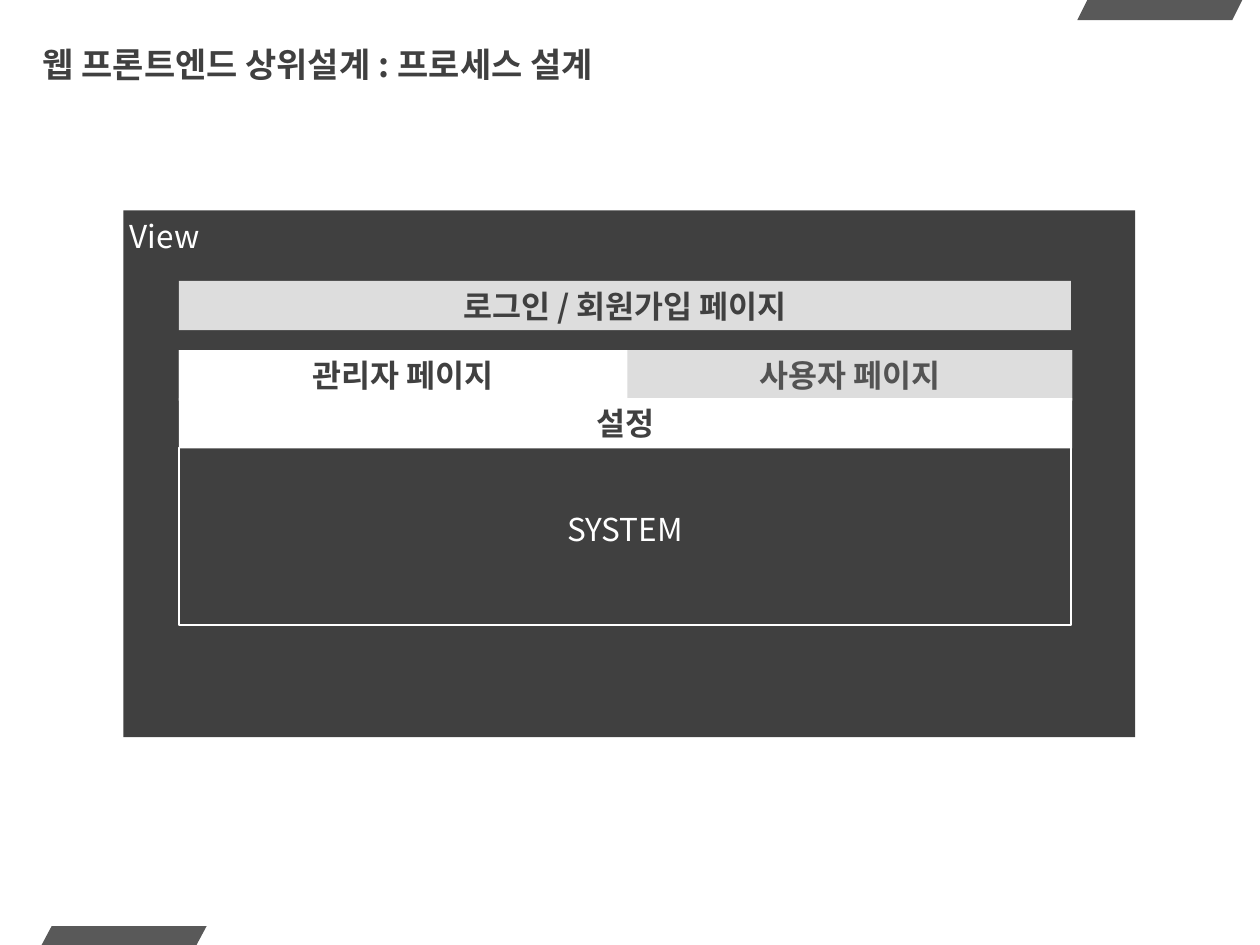
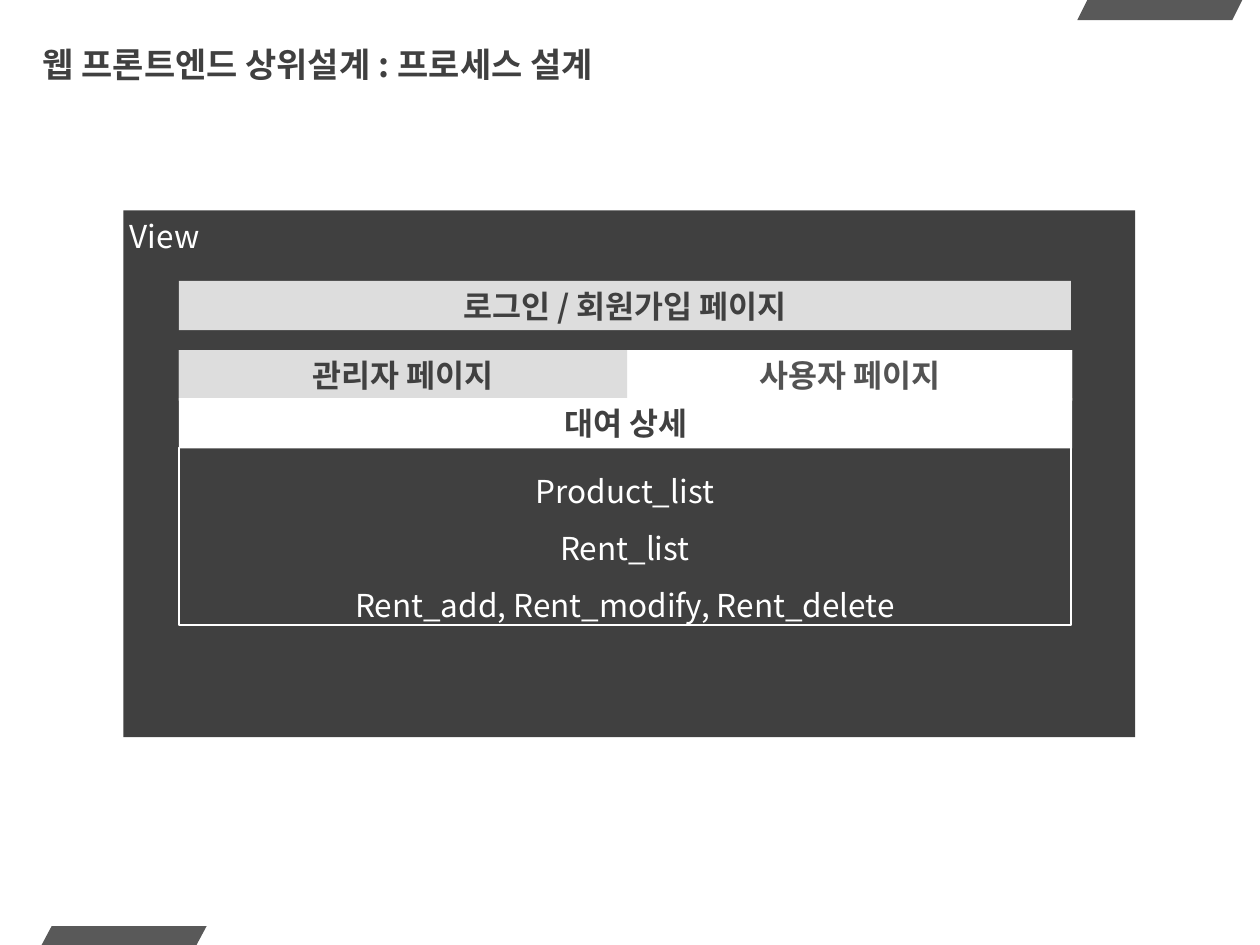
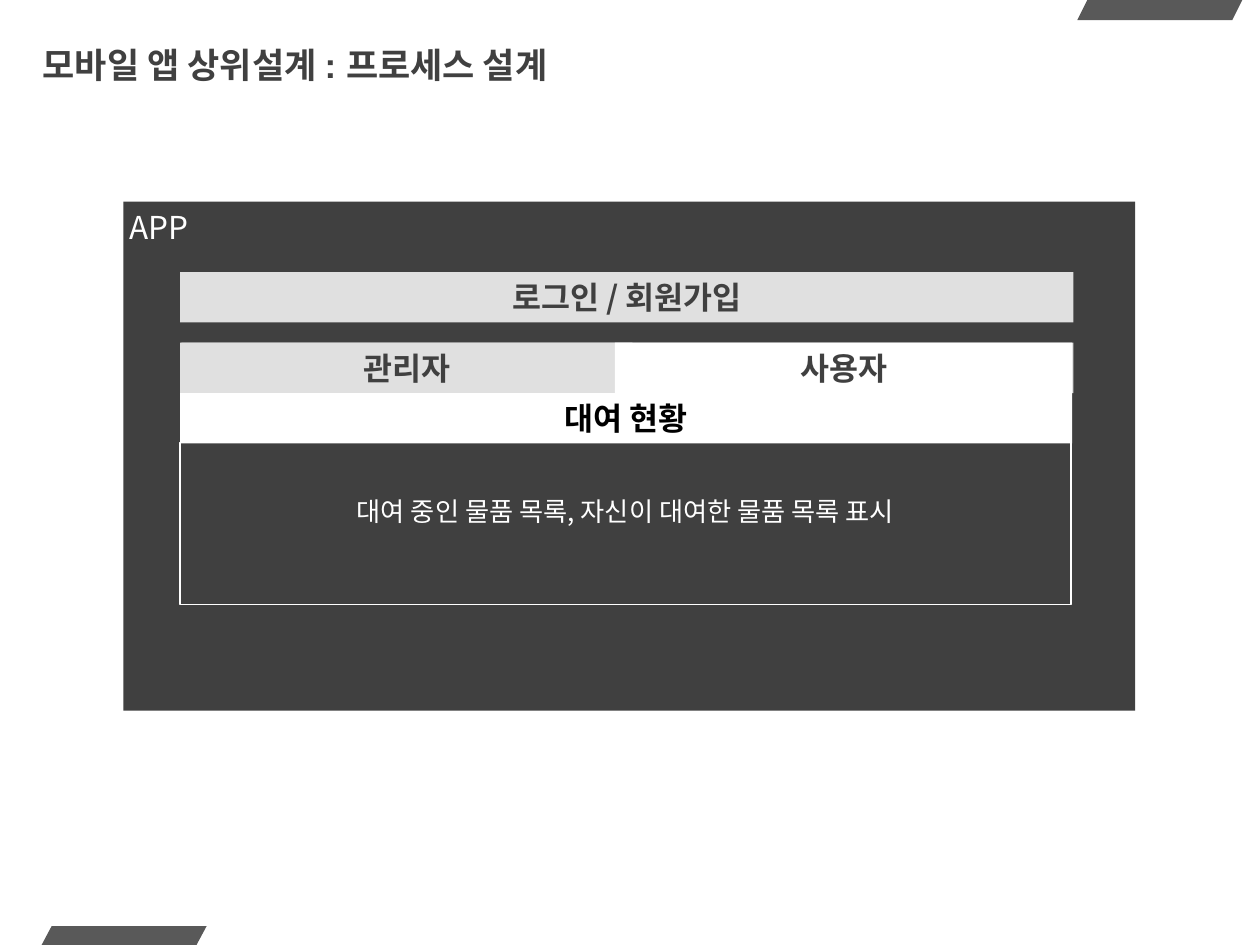
"""Build three process-design slides: a dark view panel with page tabs and details."""
from pptx import Presentation
from pptx.dml.color import RGBColor
from pptx.enum.shapes import MSO_SHAPE
from pptx.enum.text import MSO_ANCHOR, PP_ALIGN
from pptx.oxml import parse_xml
from pptx.oxml.ns import nsdecls
from pptx.util import Inches, Pt

DARK = RGBColor(0x40, 0x40, 0x40)
BAND = RGBColor(0x59, 0x59, 0x59)
MUTED = RGBColor(0x53, 0x53, 0x53)
SILVER = RGBColor(0xDD, 0xDD, 0xDD)
PALE = RGBColor(0xE0, 0xE0, 0xE0)
WHITE = RGBColor(0xFF, 0xFF, 0xFF)
BLACK = RGBColor(0, 0, 0)
FONT = "Noto Sans CJK KR"

BANDS = [(0.33, 7.35, 0.15), (8.55, 0, 0.16)]
BAND_W, BAND_SLANT = 1.31, 0.08
ROW_H = 0.4

WEB = {
    "title": "웹 프론트엔드 상위설계 : 프로세스 설계", "title_font": FONT, "title_size": 19.4,
    "name": "View", "panel": (0.98, 1.67, 8.03, 4.18),
    "login": "로그인 / 회원가입 페이지", "login_box": (1.42, 2.23, 7.08, 0.39),
    "idle": SILVER, "strip": WHITE, "strip_box": (1.42, 2.78, 7.09, ROW_H),
    "tabs": [("관리자 페이지", 1.42, 3.56, DARK), ("사용자 페이지", 4.98, 3.53, MUTED)],
    "heading_box": (1.42, 3.16, 7.09, ROW_H), "heading_color": DARK,
    "frame": (1.42, 3.55, 7.08, 1.41), "detail_size": 18,
}
APP = {
    "title": "모바일 앱 상위설계 : 프로세스 설계", "title_font": "Arial", "title_size": 20,
    "name": "APP", "panel": (0.98, 1.6, 8.03, 4.04),
    "login": "로그인 / 회원가입", "login_box": (1.43, 2.16, 7.09, ROW_H),
    "idle": PALE, "strip": PALE, "strip_box": (1.43, 2.72, 7.09, ROW_H),
    "tabs": [("관리자", 1.44, 3.58, DARK), ("사용자", 4.88, 3.63, DARK)],
    "heading_box": (1.43, 3.12, 7.08, ROW_H), "heading_color": BLACK,
    "frame": (1.43, 3.51, 7.07, 1.29), "detail_size": 15,
}
SLIDES = [
    {"view": WEB, "active": 0, "heading": "설정", "details": ["SYSTEM"], "drop": 0.3},
    {"view": WEB, "active": 1, "heading": "대여 상세", "drop": 0,
     "details": ["Product_list", "Rent_list", "Rent_add, Rent_modify, Rent_delete"]},
    {"view": APP, "active": 1, "heading": "대여 현황", "drop": 0.25,
     "details": ["대여 중인 물품 목록, 자신이 대여한 물품 목록 표시"]},
]


def write(sp, lines, color, size=18, bold=False, align=PP_ALIGN.CENTER,
          spacing=None, font=FONT, inset=0.05):
    tf = sp.text_frame
    tf.word_wrap = True
    tf.vertical_anchor = MSO_ANCHOR.TOP
    tf.margin_left = tf.margin_right = Inches(inset)
    tf.margin_top = tf.margin_bottom = Inches(0.05)
    tf.text = "\n".join(lines)
    for p in tf.paragraphs:
        p.alignment = align
        p.line_spacing = spacing
        for r in p.runs:
            r.font.name, r.font.size, r.font.bold = font, Pt(size), bold
            r.font.color.rgb = color
            ea = parse_xml(f'<a:ea {nsdecls("a")} typeface="{FONT}"/>')
            r.font._element.find("{*}latin").addnext(ea)


def add_box(s, box, fill=None, line=None):
    sp = s.shapes.add_shape(MSO_SHAPE.RECTANGLE, *map(Inches, box))
    sp.shadow.inherit = False
    if fill is None:
        sp.fill.background()
    else:
        sp.fill.solid()
        sp.fill.fore_color.rgb = fill
    if line is None:
        sp.line.fill.background()
    else:
        sp.line.color.rgb = line
        sp.line.width = Pt(0.75)
    return sp


def add_band(s, x, y, h):
    corners = [(x + BAND_SLANT, y), (x + BAND_W, y), (x + BAND_W - BAND_SLANT, y + h), (x, y + h)]
    points = [(Inches(px), Inches(py)) for px, py in corners]
    fb = s.shapes.build_freeform(*points[0])
    fb.add_line_segments(points[1:])
    sp = fb.convert_to_shape()
    sp.shadow.inherit = False
    sp.fill.solid()
    sp.fill.fore_color.rgb = BAND
    sp.line.fill.background()


def add_view(s, view, active, heading, details, drop):
    title = s.shapes.add_textbox(*map(Inches, (0.24, 0.33, 8.03, 0.4)))
    write(title, [view["title"]], DARK, view["title_size"], True, PP_ALIGN.LEFT,
          0.9, view["title_font"], 0.1)
    title.text_frame.vertical_anchor = MSO_ANCHOR.MIDDLE

    write(add_box(s, view["panel"], DARK), [view["name"]], WHITE, align=PP_ALIGN.LEFT)
    write(add_box(s, view["login_box"], view["idle"]), [view["login"]], DARK, bold=True)

    x, y, w, h = view["frame"]
    add_box(s, view["frame"], line=WHITE)
    body = s.shapes.add_textbox(*map(Inches, (x + 0.05, y + drop, w - 0.1, h - drop)))
    write(body, details, WHITE, view["detail_size"], spacing=1.5)

    add_box(s, view["strip_box"], view["strip"])
    tab_y = view["strip_box"][1]
    for i, (label, tab_x, tab_w, color) in enumerate(view["tabs"]):
        fill = WHITE if i == active else view["idle"]
        write(add_box(s, (tab_x, tab_y, tab_w, ROW_H), fill), [label], color, bold=True)
    write(add_box(s, view["heading_box"], WHITE), [heading], view["heading_color"], bold=True)


def main():
    prs = Presentation()
    prs.slide_width, prs.slide_height = Inches(10), Inches(7.5)
    for content in SLIDES:
        s = prs.slides.add_slide(prs.slide_layouts[6])
        for band in BANDS:
            add_band(s, *band)
        add_view(s, **content)
    prs.save("out.pptx")


if __name__ == "__main__":
    main()
